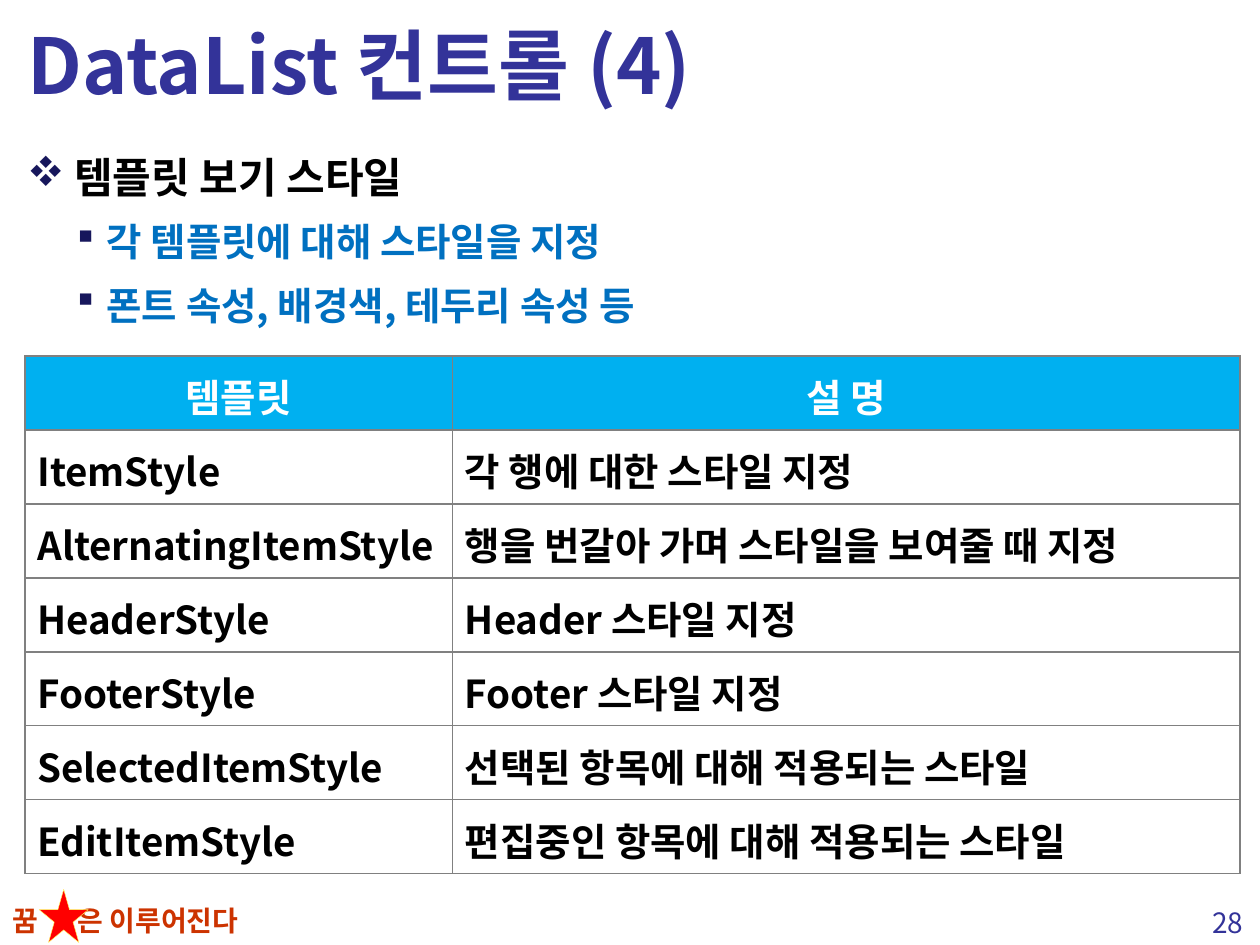
from lxml import etree
from pptx import Presentation
from pptx.dml.color import RGBColor
from pptx.enum.shapes import MSO_SHAPE
from pptx.enum.text import MSO_ANCHOR, PP_ALIGN
from pptx.oxml.ns import qn
from pptx.util import Cm, Pt

STAR = MSO_SHAPE.STAR_5_POINT
MIDDLE = MSO_ANCHOR.MIDDLE
LEFT, CENTER = PP_ALIGN.LEFT, PP_ALIGN.CENTER

FONT = "Noto Sans CJK KR"
NAVY = RGBColor(0x33, 0x33, 0x99)
BLUE = RGBColor(0x00, 0x70, 0xC0)
SKY = RGBColor(0x00, 0xB0, 0xF0)
BLACK = RGBColor(0x00, 0x00, 0x00)
WHITE = RGBColor(0xFF, 0xFF, 0xFF)
RUST = RGBColor(0xCC, 0x33, 0x00)
RED = RGBColor(0xFF, 0x00, 0x00)
YELLOW = RGBColor(0xFF, 0xFF, 0x66)
MARK = RGBColor(0x17, 0x17, 0x5C)
GRAY = RGBColor(0x80, 0x80, 0x80)


def add(parent, tag, **attrs):
    node = etree.SubElement(parent, qn(tag))
    for key, val in attrs.items():
        node.set(key, str(val))
    return node


def write(para, text, size=22, color=BLACK, bold=True, align=LEFT, line=None):
    para.alignment = align
    if line:
        para.line_spacing = line
        para.space_before = Pt(size * 0.2)
    run = para.add_run()
    run.text = text
    font = run.font
    font.size, font.bold, font.name = Pt(size), bold, FONT
    font.color.rgb = color
    # Pair kerning off, and the same face for Korean
    font._element.set("kern", "0")
    add(font._element, "a:ea", typeface=FONT)


prs = Presentation()
prs.slide_width, prs.slide_height = Cm(25.4), Cm(19.05)
slide = prs.slides.add_slide(prs.slide_layouts[6])
shapes = slide.shapes

# Footer motto, with a tab that leaves room for the star
motto = shapes.add_textbox(Cm(0), Cm(18.08), Cm(6.3), Cm(0.94)).text_frame
motto.word_wrap = True
write(motto.paragraphs[0], "꿈\t은 이루어진다", size=16, color=RUST)
tabs = add(motto.paragraphs[0]._p.get_or_add_pPr(), "a:tabLst")
add(tabs, "a:tab", pos=Cm(1.32), algn="l")

star = shapes.add_shape(STAR, Cm(0.79), Cm(17.93), Cm(0.99), Cm(1.07))
star.shadow.inherit = False
star.fill.solid()
star.fill.fore_color.rgb = RED
star.line.color.rgb = YELLOW
star.line.width = Pt(0.25)

# Page number
page = shapes.add_textbox(Cm(24.1), Cm(18.14), Cm(1.3), Cm(0.94)).text_frame
write(page.paragraphs[0], "28", size=16, color=NAVY, bold=False, align=CENTER)

# Title
title = shapes.add_textbox(Cm(0.3), Cm(0.17), Cm(24.8), Cm(2.24)).text_frame
title.word_wrap = True
title.vertical_anchor = MIDDLE
write(title.paragraphs[0], "DataList 컨트롤 (4)", size=44, color=NAVY)

# Bullets: text, level, size, colour, Wingdings sign, indent, hang
points = [
    ("템플릿 보기 스타일", 0, 24, BLACK, "v", 0.95, 0.95),
    ("각 템플릿에 대해 스타일을 지정", 1, 22, BLUE, "§", 1.6, 0.6),
    ("폰트 속성, 배경색, 테두리 속성 등", 1, 22, BLUE, "§", 1.6, 0.6),
]
body = shapes.add_textbox(Cm(0.3), Cm(2.72), Cm(24.87), Cm(15.34)).text_frame
body.word_wrap = True
for i, (text, level, size, color, sign, indent, hang) in enumerate(points):
    para = body.add_paragraph() if i else body.paragraphs[0]
    para.level = level
    write(para, text, size=size, color=color, line=1.2)
    props = para._p.get_or_add_pPr()
    props.set("marL", str(Cm(indent)))
    props.set("indent", str(-Cm(hang)))
    add(add(props, "a:buClr"), "a:srgbClr", val=MARK)
    add(props, "a:buFont", typeface="Wingdings", charset=2)
    add(props, "a:buChar", char=sign)

# Table of template styles
rows = [
    ("템플릿", "설 명"),
    ("ItemStyle", "각 행에 대한 스타일 지정"),
    ("AlternatingItemStyle", "행을 번갈아 가며 스타일을 보여줄 때 지정"),
    ("HeaderStyle", "Header 스타일 지정"),
    ("FooterStyle", "Footer 스타일 지정"),
    ("SelectedItemStyle", "선택된 항목에 대해 적용되는 스타일"),
    ("EditItemStyle", "편집중인 항목에 대해 적용되는 스타일"),
]
widths = [8.62, 15.88]
high = 1.49
table = shapes.add_table(len(rows), 2, Cm(0.5), Cm(7.18),
                         Cm(sum(widths)), Cm(high * len(rows))).table
table.horz_banding = False
for col, width in zip(table.columns, widths):
    col.width = Cm(width)
for r, row in enumerate(rows):
    head = r == 0
    for c, text in enumerate(row):
        cell = table.cell(r, c)
        write(cell.text_frame.paragraphs[0], text, line=1.1,
              color=WHITE if head else BLACK, align=CENTER if head else LEFT)
        # Borders come before the fill in the cell properties
        props = cell._tc.get_or_add_tcPr()
        for side in ("a:lnL", "a:lnR", "a:lnT", "a:lnB"):
            edge = add(props, side, w=Pt(1))
            add(add(edge, "a:solidFill"), "a:srgbClr", val=GRAY)
        if head:
            cell.fill.solid()
            cell.fill.fore_color.rgb = SKY
        else:
            cell.fill.background()

prs.save("out.pptx")
